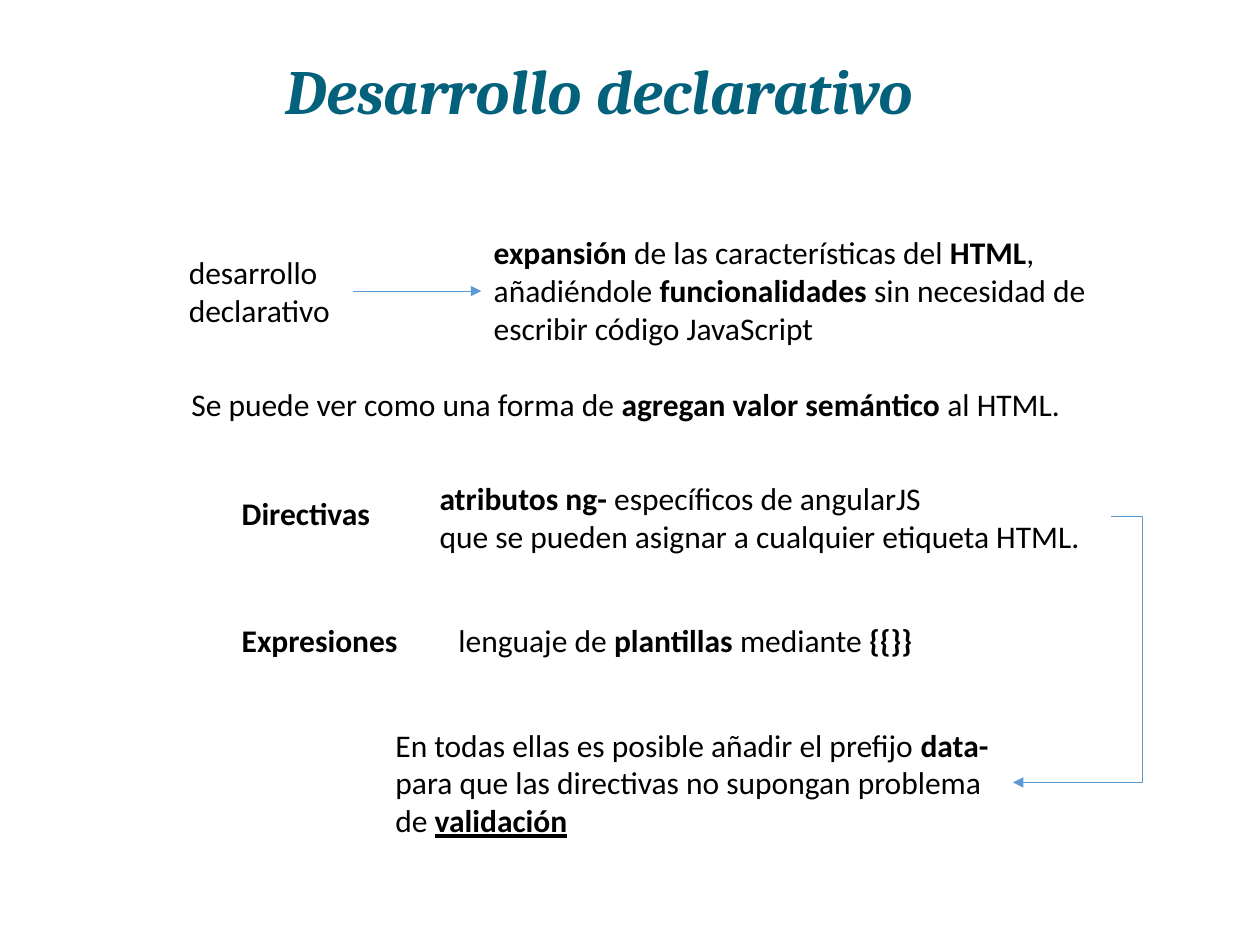
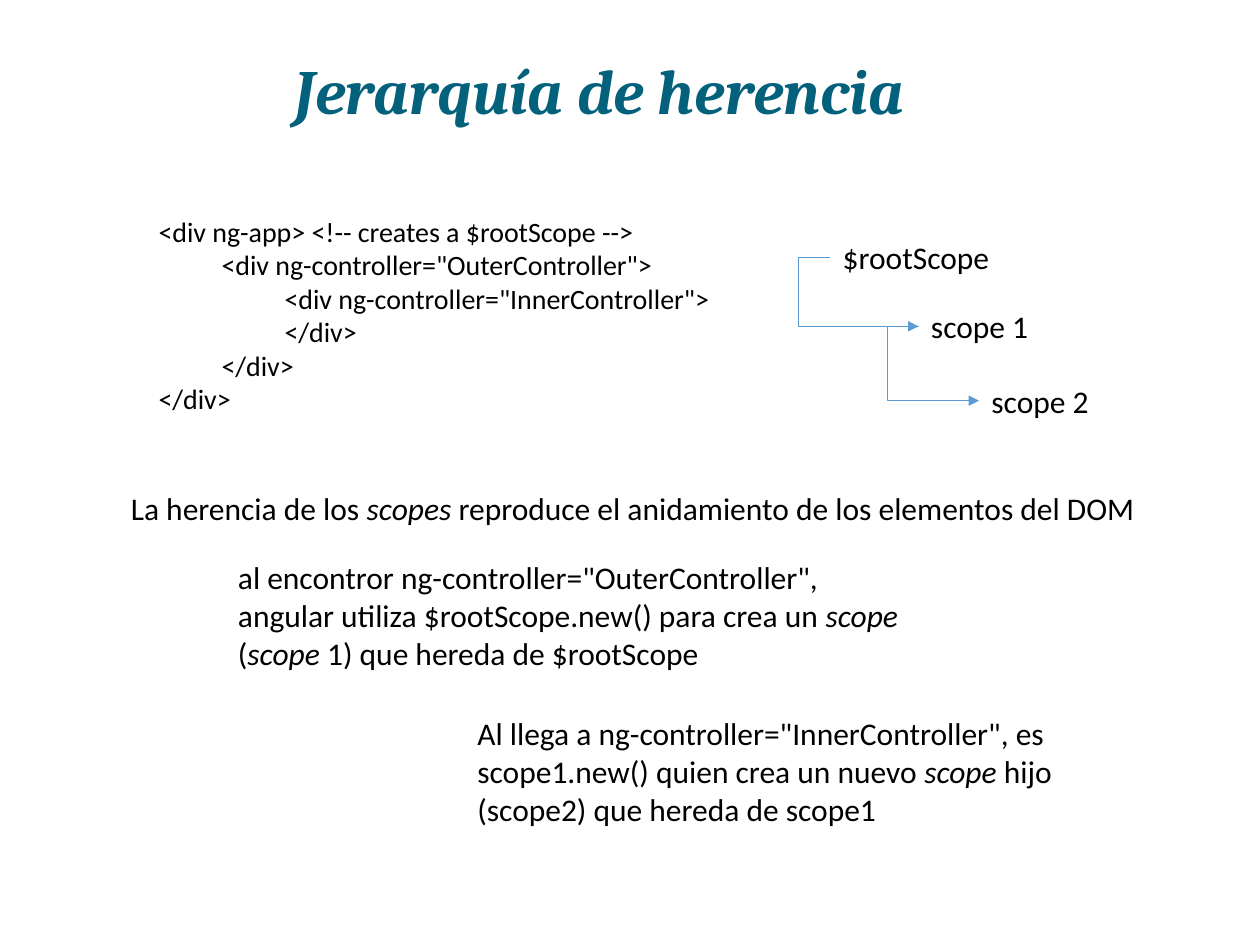
from dataclasses import dataclass
from typing import Any

from lxml import etree
from pptx import Presentation
from pptx.dml.color import RGBColor
from pptx.enum.shapes import MSO_CONNECTOR
from pptx.enum.text import MSO_ANCHOR, MSO_AUTO_SIZE, PP_ALIGN
from pptx.oxml.ns import qn
from pptx.util import Inches, Pt

TEAL = RGBColor(0x04, 0x61, 0x7B)
BLACK = RGBColor(0, 0, 0)
BLUE = RGBColor(0x5B, 0x9B, 0xD5)
STRAIGHT, ELBOW = MSO_CONNECTOR.STRAIGHT, MSO_CONNECTOR.ELBOW
MIDDLE = MSO_ANCHOR.MIDDLE
CENTER = PP_ALIGN.CENTER
GROW, FIXED = MSO_AUTO_SIZE.SHAPE_TO_FIT_TEXT, MSO_AUTO_SIZE.NONE

TITLE_ONLY = 5
TITLE_BOX = (0.69, 0.4, 8.13, 0.7)
TITLE_FONT = {"name": "Cambria", "size": Pt(36), "bold": True, "italic": True}
BODY_FONT = {"name": "Calibri", "size": Pt(18)}
BOLD = {"bold": True}
ITALIC = {"italic": True}
STRONG = {"bold": True, "underline": True}
BEND = 0.25  # how far an elbow reaches out past its start

Span = str | tuple[str, dict[str, Any]]


@dataclass
class Line:
    spans: list[Span]
    level: int = 0


@dataclass
class Note:
    box: tuple[float, float, float, float]
    lines: list[Line]
    wrap: bool = True
    size: int = 18


@dataclass
class Arrow:
    start: tuple[float, float]
    end: tuple[float, float]
    bent: bool = True


@dataclass
class Page:
    title: str
    notes: list[Note]
    arrows: list[Arrow]


PAGES = [
    Page("Desarrollo declarativo", [
        Note((1.42, 3.01, 7.49, 0.4), [Line([
            "Se puede ver como una forma de", (" agregan valor semántico", BOLD), " al HTML."])]),
        Note((1.4, 1.96, 1.4, 0.71), [Line(["desarrollo declarativo"])]),
        Note((3.82, 1.8, 5, 1.01), [Line([
            ("expansión", BOLD), " de las características del ", ("HTML", BOLD),
            ", añadiéndole ", ("funcionalidades", BOLD),
            " sin necesidad de escribir código JavaScript"])]),
        Note((1.82, 3.87, 1.23, 0.4), [Line([("Directivas", BOLD)])], wrap=False),
        Note((1.82, 4.88, 1.5, 0.4), [Line([("Expresiones", BOLD)])], wrap=False),
        Note((3.54, 4.88, 3.82, 0.4), [Line([
            "lenguaje de ", ("plantillas", BOLD), " mediante ", ("{{}}", BOLD)])], wrap=False),
        Note((3.39, 3.75, 5.43, 0.71), [
            Line([("atributos ng-", BOLD), " específicos de angularJS"]),
            Line(["que se pueden asignar a cualquier etiqueta HTML."])]),
        Note((3.04, 5.71, 5, 1.01), [Line([
            "En todas ellas es posible añadir el prefijo ", ("data-", BOLD), "\n",
            "para que las directivas no supongan problema de ", ("validación", STRONG)])]),
    ], [
        Arrow((2.8, 2.31), (3.82, 2.31), bent=False),
        Arrow((8.82, 4.1), (8.04, 6.21)),
    ]),
    Page("Jerarquía de herencia", [
        Note((1.16, 1.65, 4.61, 1.72), [
            Line(["<div ng-app> <!-- creates a $rootScope -->"]),
            Line(['<div ng-controller="OuterController">'], 1),
            Line(['<div ng-controller="InnerController">'], 2),
            Line(["</div>"], 2),
            Line(["</div>"], 1),
            Line(["</div>"])], size=16),
        Note((6.59, 1.84, 1.6, 0.4), [Line(["$rootScope"])]),
        Note((3.69, 5.62, 5.18, 1.01), [Line([
            'Al llega a ng-controller="InnerController", es scope1.new() quien crea un nuevo ',
            ("scope", ITALIC), " hijo (scope2) que hereda de scope1"])]),
        Note((0.94, 3.83, 8.28, 0.4), [Line([
            "La herencia de los ", ("scopes", ITALIC),
            " reproduce el anidamiento de los elementos del DOM"])], wrap=False),
        Note((1.79, 4.38, 5.74, 1.01), [
            Line(['al encontror ng-controller="OuterController",']),
            Line(["angular utiliza $rootScope.new() para crea un ", ("scope", ITALIC),
                  " (", ("scope ", ITALIC), "1) que hereda de $rootScope"])]),
        Note((7.29, 2.39, 0.98, 0.4), [Line(["scope 1"])], wrap=False),
        Note((7.77, 2.98, 0.98, 0.4), [Line(["scope 2"])], wrap=False),
    ], [
        Arrow((6.59, 2.04), (7.29, 2.59)),
        Arrow((7.29, 2.59), (7.77, 3.18)),
    ]),
]


def style(font, color: RGBColor, form: dict[str, Any]) -> None:
    for name, value in form.items():
        setattr(font, name, value)
    font.color.rgb = color


def set_title(slide, text: str) -> None:
    title = slide.shapes.title
    for name, value in zip(("left", "top", "width", "height"), TITLE_BOX):
        setattr(title, name, Inches(value))
    frame = title.text_frame
    frame.text = text
    frame.auto_size = FIXED
    frame.vertical_anchor = MIDDLE
    para = frame.paragraphs[0]
    para.alignment = CENTER
    para.line_spacing = 0.9
    style(para.runs[0].font, TEAL, TITLE_FONT)


def add_note(slide, note: Note) -> None:
    frame = slide.shapes.add_textbox(*map(Inches, note.box)).text_frame
    frame.word_wrap = note.wrap
    frame.auto_size = GROW
    for index, line in enumerate(note.lines):
        para = frame.add_paragraph() if index else frame.paragraphs[0]
        para.level = line.level
        for span in line.spans:
            if span == "\n":
                para.add_line_break()
                continue
            text, form = (span, {}) if isinstance(span, str) else span
            run = para.add_run()
            run.text = text
            style(run.font, BLACK, BODY_FONT | {"size": Pt(note.size)} | form)


def add_arrow(slide, arrow: Arrow) -> None:
    kind = ELBOW if arrow.bent else STRAIGHT
    link = slide.shapes.add_connector(kind, *map(Inches, arrow.start + arrow.end))
    link.line.color.rgb = BLUE
    link.line.width = Pt(0.5)
    props = link._element.spPr
    etree.SubElement(props.find(qn("a:ln")), qn("a:tailEnd"), type="triangle")
    etree.SubElement(props, qn("a:effectLst"))
    if arrow.bent:
        ratio = -BEND / abs(arrow.end[0] - arrow.start[0])
        guides = props.find(qn("a:prstGeom")).get_or_add_avLst()
        etree.SubElement(guides, qn("a:gd"), name="adj1", fmla=f"val {round(ratio * 100000)}")


def main() -> None:
    deck = Presentation()
    deck.slide_width, deck.slide_height = Inches(10), Inches(7.5)
    for page in PAGES:
        slide = deck.slides.add_slide(deck.slide_layouts[TITLE_ONLY])
        set_title(slide, page.title)
        for note in page.notes:
            add_note(slide, note)
        for arrow in page.arrows:
            add_arrow(slide, arrow)
    deck.save("out.pptx")


if __name__ == "__main__":
    main()
